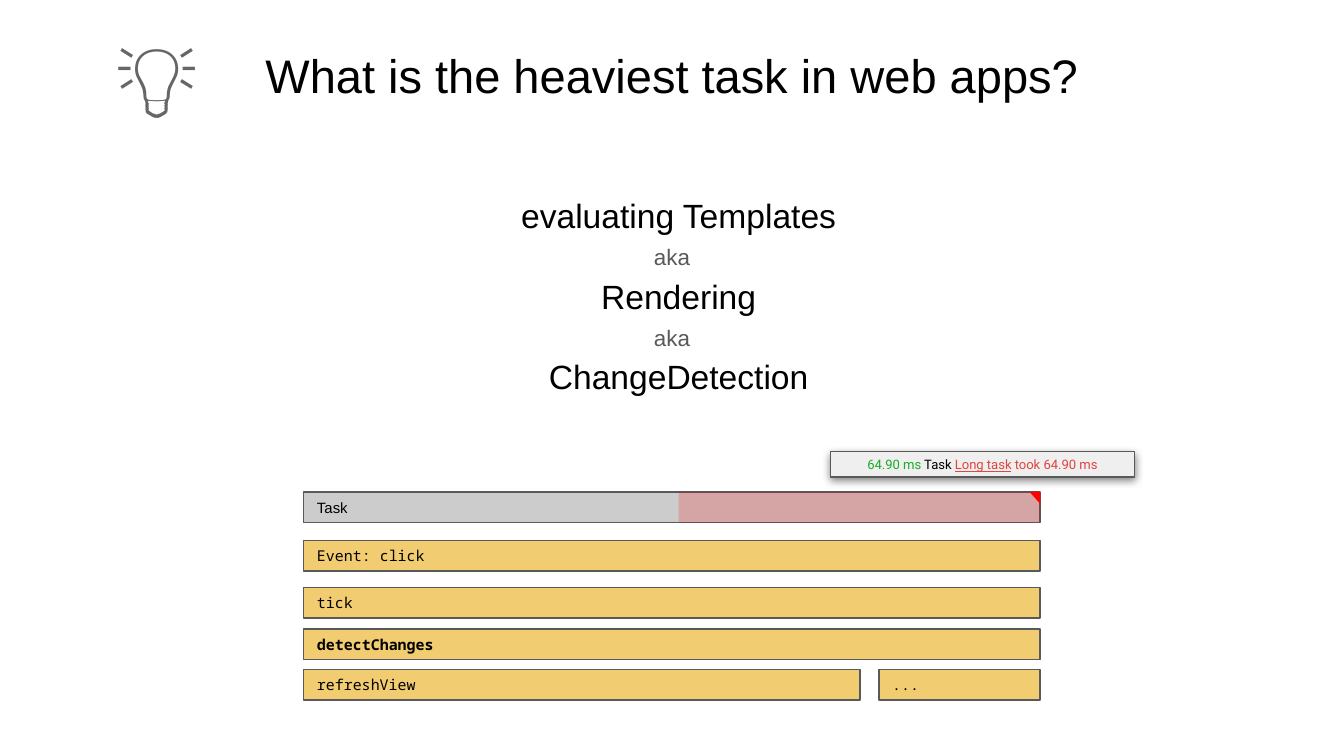
from lxml import etree
from pptx import Presentation
from pptx.dml.color import RGBColor
from pptx.enum.shapes import MSO_SHAPE
from pptx.enum.text import MSO_ANCHOR, PP_ALIGN
from pptx.oxml.ns import qn
from pptx.util import Inches, Pt

BLACK = RGBColor(0x00, 0x00, 0x00)
GRAY = RGBColor(0x59, 0x59, 0x59)
BULB = RGBColor(0x66, 0x66, 0x66)
SILVER = RGBColor(0xCC, 0xCC, 0xCC)
PALE = RGBColor(0xEF, 0xEF, 0xEF)
YELLOW = RGBColor(0xEF, 0xC4, 0x57)
RED = RGBColor(0xFF, 0x00, 0x00)
GREEN = RGBColor(0x1A, 0xAB, 0x29)
ALERT = RGBColor(0xE0, 0x44, 0x3E)
MONO = "Noto Sans Mono"


def style(run, size, color=BLACK, face="Arial", bold=False):
    font = run.font
    font.name, font.size, font.bold = face, Pt(size), bold
    font.color.rgb = color


def set_frame(frame, anchor):
    frame.word_wrap = True
    frame.vertical_anchor = anchor
    frame.margin_left = frame.margin_right = Inches(0.1)
    frame.margin_top = frame.margin_bottom = Inches(0.1)


def add_text(shapes, box, lines, size, color, align=PP_ALIGN.CENTER,
             face="Arial", bold=False, gap=0):
    label = shapes.add_textbox(*map(Inches, box))
    frame = label.text_frame
    set_frame(frame, MSO_ANCHOR.TOP)
    frame.text = "\n".join(lines)
    for i, para in enumerate(frame.paragraphs):
        para.alignment = align
        if i:
            para.space_before = Pt(gap)
        style(para.runs[0], size, color, face, bold)


def add_block(shapes, box, fill, alpha=100, line=GRAY, kind=MSO_SHAPE.RECTANGLE):
    block = shapes.add_shape(kind, *map(Inches, box))
    block.shadow.inherit = False
    block.fill.solid()
    block.fill.fore_color.rgb = fill
    if alpha < 100:
        tint = block._element.spPr.find(qn("a:solidFill")).find(qn("a:srgbClr"))
        etree.SubElement(tint, qn("a:alpha"), val=str(alpha * 1000))
    if line is None:
        block.line.fill.background()
    else:
        block.line.color.rgb = line
        block.line.width = Pt(0.75)
    set_frame(block.text_frame, MSO_ANCHOR.MIDDLE)
    return block


def add_bar(shapes, box, text, fill=YELLOW, alpha=85, face=MONO, bold=False):
    para = add_block(shapes, box, fill, alpha).text_frame.paragraphs[0]
    para.text = text
    para.alignment = PP_ALIGN.LEFT
    style(para.runs[0], 8, BLACK, face, bold)


def add_header(slide, box):
    left, top, width, height = box
    title = slide.shapes.title
    title.left, title.top = Inches(left), Inches(top)
    title.width, title.height = Inches(width), Inches(height)
    set_frame(title.text_frame, MSO_ANCHOR.MIDDLE)
    title.text_frame.text = "What is the heaviest task in web apps?"
    para = title.text_frame.paragraphs[0]
    para.alignment = PP_ALIGN.CENTER
    style(para.runs[0], 25.2)
    # Light bulb
    add_text(slide.shapes, (left + 0.42, top - 0.15, 0.94, 0.93), ["💡"], 43,
             BULB, PP_ALIGN.LEFT, "Karla", True)


def add_terms(slide, box):
    left, top, width, height = box
    group = slide.shapes.add_group_shape().shapes
    terms = ["evaluating Templates", "Rendering", "ChangeDetection"]
    add_text(group, box, terms, 18, BLACK, gap=21.6)
    # Small links between the terms
    for i in range(len(terms) - 1):
        add_text(group, (left + 0.21, top + 0.36 + 0.6 * i, 2.28, 0.4),
                 ["aka"], 12, GRAY)


def add_flame(slide, box):
    left, top, width, height = box
    shapes = slide.shapes
    tall = 0.23
    # Task with its overlong part and corner flag
    add_bar(shapes, (left, top, width, tall), "Task", SILVER, 100, "Arial")
    right = left + width
    add_block(shapes, (right - 2.69, top, 2.69, tall), RED, 19, None)
    flag = add_block(shapes, (right - 0.08, top, 0.08, 0.09), RED, line=None,
                     kind=MSO_SHAPE.RIGHT_TRIANGLE)
    flag.rotation = 180
    # Calls: text, offset from the left, offset from the top, width
    calls = [("Event: click", 0, 0.36, width), ("tick", 0, 0.71, width),
             ("detectChanges", 0, 1.02, width),
             ("refreshView", 0, 1.32, 4.14), ("...", 4.28, 1.32, 1.2)]
    for text, dx, dy, wide in calls:
        add_bar(shapes, (left + dx, top + dy, wide, tall), text,
                bold=text == "detectChanges")


def add_tip(slide, box):
    tip = add_block(slide.shapes, box, PALE)
    # Soft shadow below
    effects = tip._element.spPr.find(qn("a:effectLst"))
    shade = etree.SubElement(effects, qn("a:outerShdw"), blurRad=str(Pt(4.5)),
                             dist=str(Pt(1.5)), dir="5400000", algn="bl",
                             rotWithShape="0")
    black = etree.SubElement(shade, qn("a:srgbClr"), val="000000")
    etree.SubElement(black, qn("a:alpha"), val="50000")
    # Timing message
    para = tip.text_frame.paragraphs[0]
    para.alignment = PP_ALIGN.CENTER
    for text, color in [("64.90 ms", GREEN), (" Task ", BLACK),
                        ("Long task", ALERT), (" took 64.90 ms", ALERT)]:
        run = para.add_run()
        run.text = text
        style(run, 7, color, "Roboto")
        run.font.underline = text == "Long task"


def main():
    deck = Presentation()
    # Widescreen, 16 to 9
    deck.slide_width = Inches(10)
    deck.slide_height = Inches(10 * 9 / 16)
    slide = deck.slides.add_slide(deck.slide_layouts[5])
    add_header(slide, (0.34, 0.24, 9.32, 0.63))
    add_terms(slide, (3.65, 1.35, 2.8, 1.72))
    add_flame(slide, (2.26, 3.66, 5.48, 1.55))
    add_tip(slide, (6.18, 3.36, 2.26, 0.19))
    deck.save("out.pptx")


if __name__ == "__main__":
    main()
